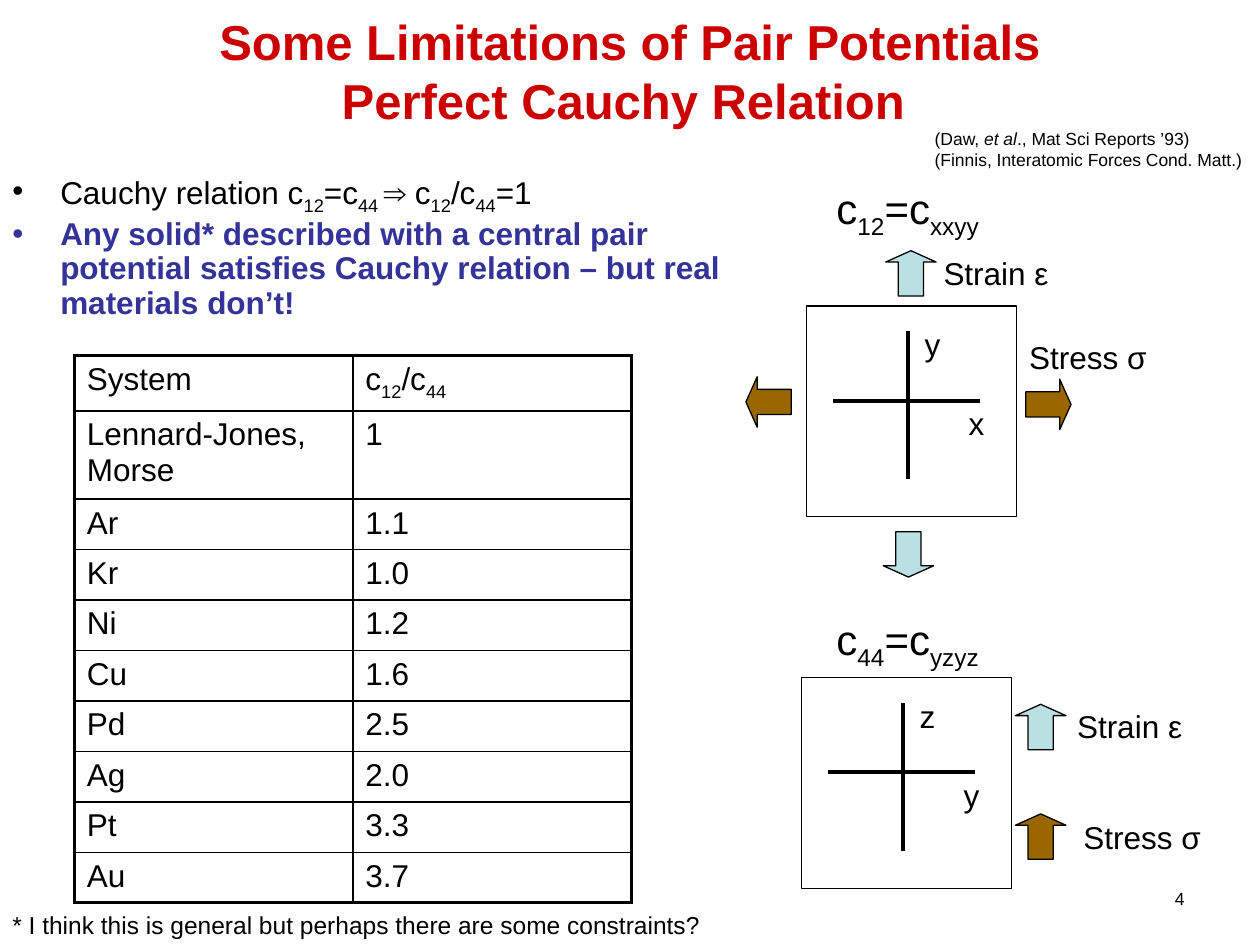
from lxml import etree
from pptx import Presentation
from pptx.dml.color import RGBColor
from pptx.enum.shapes import MSO_CONNECTOR, MSO_SHAPE
from pptx.enum.text import MSO_ANCHOR, MSO_AUTO_SIZE, PP_ALIGN
from pptx.oxml.ns import qn
from pptx.util import Inches, Pt

BLACK = RGBColor(0x00, 0x00, 0x00)
RED = RGBColor(0xCC, 0x00, 0x00)
INDIGO = RGBColor(0x33, 0x33, 0x99)
STRAIN = RGBColor(0xBB, 0xE0, 0xE3)
STRESS = RGBColor(0x99, 0x66, 0x00)
FONT = "Arial"
RECTANGLE, UP_ARROW = MSO_SHAPE.RECTANGLE, MSO_SHAPE.UP_ARROW
STRAIGHT = MSO_CONNECTOR.STRAIGHT
LEFT, CENTER, RIGHT = PP_ALIGN.LEFT, PP_ALIGN.CENTER, PP_ALIGN.RIGHT
TOP, MIDDLE = MSO_ANCHOR.TOP, MSO_ANCHOR.MIDDLE
FIT_SHAPE = MSO_AUTO_SIZE.SHAPE_TO_FIT_TEXT

# Text between underscores is subscript, or italic in the citations.
TITLE = "Some Limitations of Pair Potentials\vPerfect Cauchy Relation "
BULLETS = [
    ("Cauchy relation c_12_=c_44 _⇒ c_12_/c_44_=1", BLACK, False),
    ("Any solid* described with a central pair potential satisfies Cauchy "
     "relation – but real materials don’t!", INDIGO, True),
]
CITATIONS = ["(Daw, _et al_., Mat Sci Reports ’93)",
             "(Finnis, Interatomic Forces Cond. Matt.)"]
FOOTNOTE = "* I think this is general but perhaps there are some constraints?"
RATIOS = [
    ("System", "c_12_/c_44_"),
    ("Lennard-Jones, Morse", "1"),
    ("Ar", "1.1"), ("Kr", "1.0"), ("Ni", "1.2"), ("Cu", "1.6"),
    ("Pd", "2.5"), ("Ag", "2.0"), ("Pt", "3.3"), ("Au", "3.7"),
]
DIAGRAMS = [
    {"corner": (6.4, 2.43), "axes": ("x", "y"),
     "heading": ("c_12_=c_xxyy_", 1.4),
     "arrows": [(7.03, 1.99, 0, STRAIN), (7.01, 4.22, 180, STRAIN),
                (5.9, 3.01, 270, STRESS), (8.12, 3.03, 90, STRESS)],
     "labels": [("Stress σ", 8.07, 2.63, 1.19), ("Strain ε", 7.39, 1.97, 1.1)]},
    {"corner": (6.36, 5.38), "axes": ("y", "z"),
     "heading": ("c_44_=c_yzyz_", 4.82),
     "arrows": [(8.06, 5.59, 0, STRAIN), (8.06, 6.46, 0, STRESS)],
     "labels": [("Stress σ", 8.5, 6.44, 1.19), ("Strain ε", 8.45, 5.56, 1.1)]},
]


def write(paragraph, text, size, color=BLACK, bold=False, italic=False):
    paragraph.font.size = Pt(size)
    for index, part in enumerate(text.split("_")):
        if not part:
            continue
        if "\v" in part:
            paragraph.text = part
            runs = paragraph.runs
        else:
            run = paragraph.add_run()
            run.text = part
            runs = [run]
        for run in runs:
            run.font.name = FONT
            run.font.size = Pt(size)
            run.font.bold = bold
            run.font.color.rgb = color
            if index % 2 and italic:
                run.font.italic = True
            elif index % 2:
                run.font._element.set("baseline", "-25000")


def add_text(slide, box, lines, size, color=BLACK, bold=False, italic=False,
             wrap=False, align=LEFT, anchor=TOP):
    frame = slide.shapes.add_textbox(*map(Inches, box)).text_frame
    frame.word_wrap = wrap
    frame.vertical_anchor = anchor
    if not wrap:
        frame.auto_size = FIT_SHAPE
    for index, line in enumerate(lines):
        paragraph = frame.add_paragraph() if index else frame.paragraphs[0]
        paragraph.alignment = align
        write(paragraph, line, size, color, bold, italic)


def add_bullets(slide):
    frame = slide.shapes.add_textbox(*map(Inches, (0, 1.33, 6.22, 1.35))).text_frame
    frame.word_wrap = True
    for index, (text, color, bold) in enumerate(BULLETS):
        paragraph = frame.add_paragraph() if index else frame.paragraphs[0]
        paragraph.line_spacing = 0.9
        if index:
            paragraph.space_before = Pt(3.6)
        properties = paragraph._p.get_or_add_pPr()
        properties.set("marL", str(Inches(0.38)))
        properties.set("indent", str(Inches(-0.38)))
        etree.SubElement(properties, qn("a:buFont"), typeface=FONT)
        etree.SubElement(properties, qn("a:buChar"), char="•")
        write(paragraph, text, 18, color, bold)


def set_border(cell, side, width):
    line = etree.SubElement(cell._tc.get_or_add_tcPr(), qn("a:ln" + side),
                            w=str(Pt(width)))
    fill = etree.SubElement(line, qn("a:solidFill"))
    etree.SubElement(fill, qn("a:srgbClr"), val=str(BLACK))


def add_ratio_table(slide):
    rows, columns = len(RATIOS), len(RATIOS[0])
    table = slide.shapes.add_table(
        rows, columns, *map(Inches, (0.59, 2.82, 4.42, 4.3))).table
    table.first_row = table.horz_banding = False
    for column in table.columns:
        column.width = Inches(2.21)
    for r, values in enumerate(RATIOS):
        table.rows[r].height = Inches(0.7 if r == 1 else 0.4)
        for c, value in enumerate(values):
            cell = table.cell(r, c)
            outer = {"L": c == 0, "R": c == columns - 1,
                     "T": r == 0, "B": r == rows - 1}
            for side, is_outer in outer.items():
                set_border(cell, side, 2.25 if is_outer else 1)
            cell.fill.background()
            write(cell.text_frame.paragraphs[0], value, 18)


def add_outlined(slide, kind, box, fill=None):
    shape = slide.shapes.add_shape(kind, *map(Inches, box))
    shape.shadow.inherit = False
    if fill is None:
        shape.fill.background()
    else:
        shape.fill.solid()
        shape.fill.fore_color.rgb = fill
    shape.line.color.rgb = BLACK
    shape.line.width = Pt(0.75)
    return shape


def add_axis(slide, start, end):
    axis = slide.shapes.add_connector(STRAIGHT, *map(Inches, start + end))
    axis.line.color.rgb = BLACK
    axis.line.width = Pt(2.25)
    etree.SubElement(axis._element.spPr, qn("a:effectLst"))


def add_diagram(slide, diagram):
    x, y = diagram["corner"]
    across, up = diagram["axes"]
    heading, heading_top = diagram["heading"]
    add_text(slide, (6.54, heading_top, 1.42, 0.5), [heading], 24)
    add_outlined(slide, RECTANGLE, (x, y, 1.67, 1.67))
    for left, top, rotation, color in diagram["arrows"]:
        arrow = add_outlined(slide, UP_ARROW, (left, top, 0.4, 0.36), color)
        arrow.adjustments[1] = 0.25
        arrow.rotation = rotation
    add_axis(slide, (x + 0.81, y + 0.2), (x + 0.81, y + 1.37))
    add_axis(slide, (x + 1.38, y + 0.75), (x + 0.21, y + 0.75))
    add_text(slide, (x + 1.19, y + 0.73, 0.33, 0.4), [across], 18)
    add_text(slide, (x + 0.84, y + 0.1, 0.33, 0.4), [up], 18)
    for label, left, top, width in diagram["labels"]:
        add_text(slide, (left, top, width, 0.4), [label], 18)


def main():
    deck = Presentation()
    deck.slide_width, deck.slide_height = Inches(10), Inches(7.5)
    slide = deck.slides.add_slide(deck.slide_layouts[6])
    add_text(slide, (7.17, 7, 2.33, 0.35), ["4"], 10, wrap=True, align=RIGHT)
    add_text(slide, (0, 0, 10, 1.12), [TITLE], 28, RED, bold=True, wrap=True,
             align=CENTER, anchor=MIDDLE)
    add_bullets(slide)
    for diagram in DIAGRAMS:
        add_diagram(slide, diagram)
    add_ratio_table(slide)
    add_text(slide, (7.32, 0.97, 2.64, 0.43), CITATIONS, 10, italic=True)
    add_text(slide, (0, 7.17, 5.7, 0.34), [FOOTNOTE], 14)
    deck.save("out.pptx")


if __name__ == "__main__":
    main()
